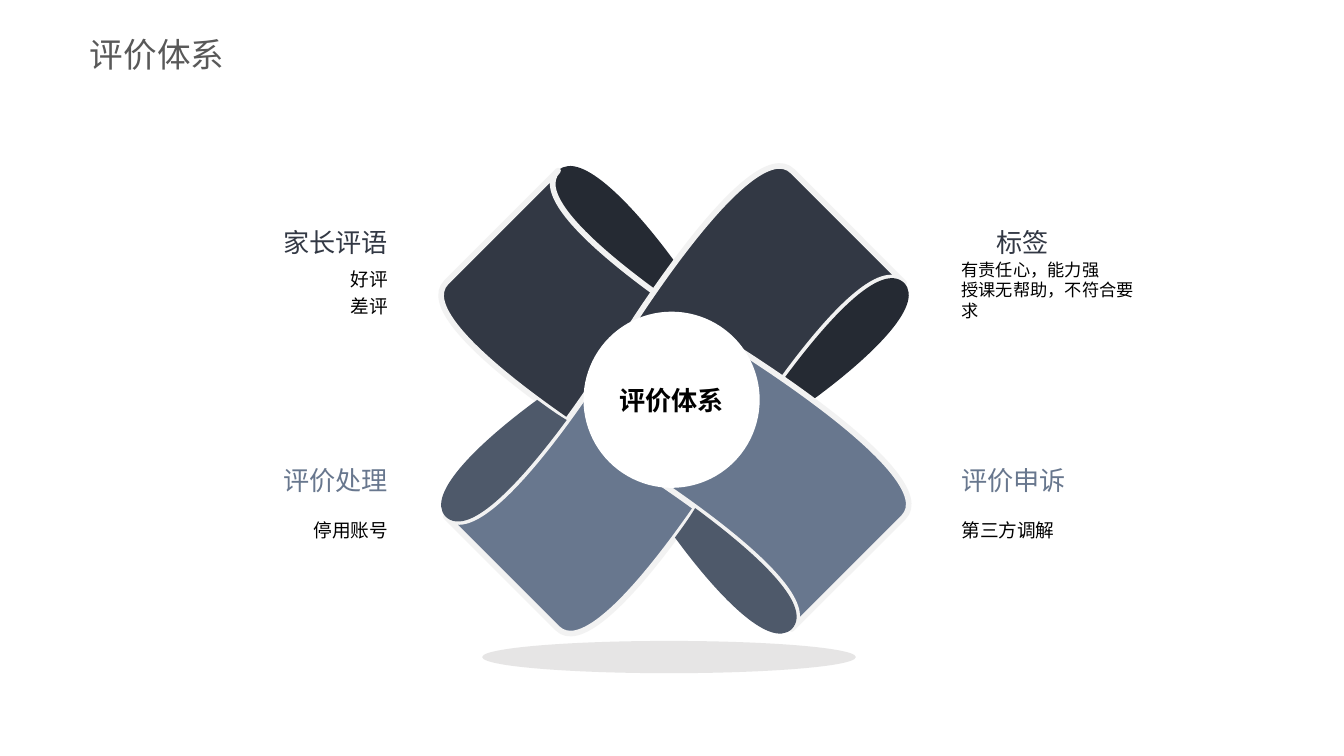
from lxml import etree
from pptx import Presentation
from pptx.dml.color import RGBColor
from pptx.enum.shapes import MSO_SHAPE
from pptx.enum.text import MSO_ANCHOR, PP_ALIGN
from pptx.oxml.ns import qn
from pptx.util import Pt

OVAL = MSO_SHAPE.OVAL
MIDDLE = MSO_ANCHOR.MIDDLE
LEFT, RIGHT, CENTER = PP_ALIGN.LEFT, PP_ALIGN.RIGHT, PP_ALIGN.CENTER
WHITE = RGBColor(0xFF, 0xFF, 0xFF)
BLACK = RGBColor(0x00, 0x00, 0x00)
GRAY = RGBColor(0x59, 0x59, 0x59)
SHADE = RGBColor(0xE6, 0xE5, 0xE5)
EDGE = RGBColor(0xF2, 0xF2, 0xF2)
NAVY = RGBColor(0x32, 0x38, 0x44)
NIGHT = RGBColor(0x25, 0x2A, 0x33)
STEEL = RGBColor(0x68, 0x77, 0x8E)
SLATE = RGBColor(0x4E, 0x59, 0x6A)
FONT = "Noto Sans CJK SC"
MID_X, MID_Y = 361.6, 214.2

# Upper left ribbon around the centre: two box corners, then
# steps of one point (move or line) or three points (curve)
BAND = ((-125.3, -122.8), (30.2, 29.9)), [
    [(-62.6, -122.8)],
    [(-85, -100.4), (30.2, -29.9), (30.2, -29.9)],
    [(-29.5, 29.9)],
    [(-29.5, 29.9), (-144.7, -40.7), (-122.4, -63)],
    [(-62.6, -122.8)],
]
FOLD = ((-65.5, -125), (0, -58)), [
    [(-10.8, -58)],
    [(-7.9, -63), (-4.3, -68), (0, -73.8)],
    [(-21.6, -103.3), (-50.4, -134.3), (-62.6, -122.8)],
    [(-74.9, -109.8), (-41, -80.3), (-10.8, -58)],
]

deck = Presentation()
deck.slide_width, deck.slide_height = Pt(720), Pt(405)
slide = deck.slides.add_slide(deck.slide_layouts[6])
shapes = slide.shapes


def draw(group, outline, turns, fill, edge=None):
    """Draw a curved outline after some quarter turns about the centre."""
    spin = [(1, 0), (0, 1), (-1, 0), (0, -1)][turns]
    (x1, y1), (x2, y2) = [(x * spin[0] - y * spin[1], x * spin[1] + y * spin[0])
                          for x, y in outline[0]]
    left, right = sorted((x1, x2))
    top, low = sorted((y1, y2))
    box = [(Pt(MID_X + x), Pt(MID_Y + y))
           for x, y in [(left, top), (right, top), (right, low), (left, low)]]
    pen = group.build_freeform(*box[0])
    pen.add_line_segments(box[1:], close=True)
    form = pen.convert_to_shape()
    route = form._element.find(".//" + qn("a:path"))
    for part in list(route):
        route.remove(part)
    for i, step in enumerate(outline[1]):
        kind = "a:moveTo" if i == 0 else "a:cubicBezTo" if len(step) == 3 else "a:lnTo"
        part = etree.SubElement(route, qn(kind))
        for x, y in step:
            dot = etree.SubElement(part, qn("a:pt"))
            dot.set("x", str(Pt(x * spin[0] - y * spin[1] - left)))
            dot.set("y", str(Pt(x * spin[1] + y * spin[0] - top)))
    etree.SubElement(route, qn("a:close"))
    form.shadow.inherit = False
    form.fill.solid()
    form.fill.fore_color.rgb = fill
    if edge is None:
        form.line.fill.background()
    else:
        form.line.color.rgb = edge
        form.line.width = Pt(3)


def write(shape, lines, size, color, align=LEFT, pads=(0, 0, 0, 0),
          space=None, bold=False, wrap=True):
    """Fill a shape with one paragraph per line."""
    frame = shape.text_frame
    frame.word_wrap = wrap
    frame.vertical_anchor = MIDDLE
    (frame.margin_left, frame.margin_top,
     frame.margin_right, frame.margin_bottom) = map(Pt, pads)
    for i, line in enumerate(lines):
        para = frame.paragraphs[0] if i == 0 else frame.add_paragraph()
        para.alignment = align
        if space:
            para.line_spacing = space
        run = para.add_run()
        run.text = line
        run.font.size = Pt(size)
        run.font.bold = bold
        run.font.name = FONT
        run.font.color.rgb = color
        east = etree.SubElement(run.font._element, qn("a:ea"))
        east.set("typeface", FONT)


# Ground shadow, ribbons and hub
knot = shapes.add_group_shape().shapes
ground = knot.add_shape(OVAL, Pt(258.3), Pt(343.4), Pt(200.2), Pt(17.3))
draw(knot, FOLD, 0, NIGHT)
draw(knot, BAND, 0, NAVY, EDGE)
for turns, front, back in [(1, NAVY, NIGHT), (3, STEEL, SLATE), (2, STEEL, SLATE)]:
    draw(knot, BAND, turns, front, EDGE)
    draw(knot, FOLD, turns, back)
hub = knot.add_shape(OVAL, Pt(312.6), Pt(167), Pt(94.4), Pt(94.4))
for oval, fill in [(ground, SHADE), (hub, WHITE)]:
    oval.shadow.inherit = False
    oval.fill.solid()
    oval.fill.fore_color.rgb = fill
    oval.line.fill.background()
write(hub, ["评价体系"], 14, BLACK, CENTER, bold=True, wrap=False)

# Labels: side, top, indent, head, color, lines, size, spacing
WEST = (98.5, 137.5, RIGHT, (0, 0, 28.1, 0))
EAST = (487, 126.7, LEFT, (28.1, 0, 0, 0))
LABELS = [
    (WEST, 120.8, 0, "家长评语", NAVY, ["好评", "差评"], 10, 1.2),
    (WEST, 248.4, 0, "评价处理", STEEL, ["停用账号"], 10, 1.2),
    (EAST, 248.4, 0, "评价申诉", STEEL, ["第三方调解"], 10, 1.2),
    (EAST, 120.8, 18.8, "标签", NAVY, ["有责任心，能力强", "授课无帮助，不符合要求"], 9.2, None),
]
for (left, width, align, pads), top, indent, head, color, lines, size, space in LABELS:
    pair = shapes.add_group_shape().shapes
    box = pair.add_textbox(Pt(left), Pt(top), Pt(width), Pt(18))
    write(box, [head], 14, color, align, (pads[0] + indent, *pads[1:]), wrap=False)
    box = pair.add_textbox(Pt(left), Pt(top + 18), Pt(width), Pt(33.1))
    write(box, lines, size, BLACK, align, pads, space)

title = shapes.add_textbox(Pt(48.2), Pt(13.7), Pt(167.8), Pt(30.2))
write(title, ["评价体系"], 18, GRAY, pads=(0, 3.6, 0, 3.6))

deck.save("out.pptx")
